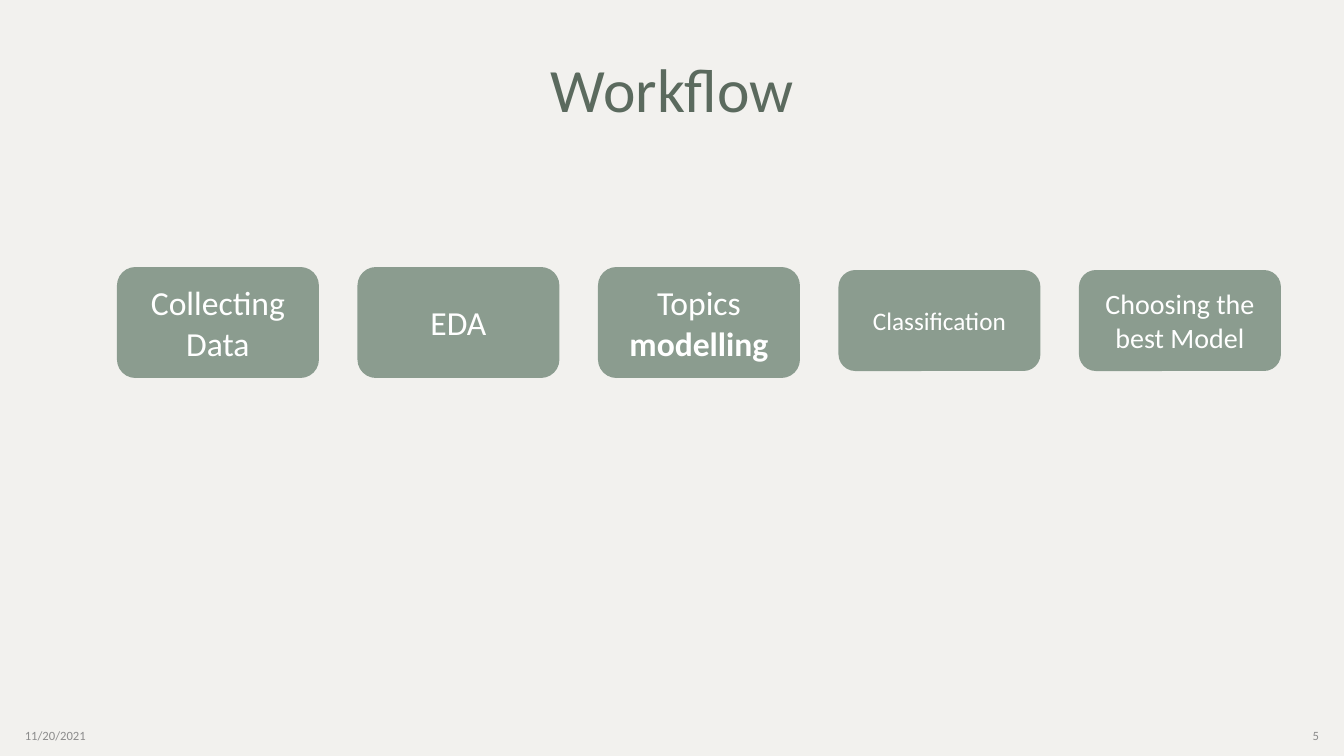
from pptx import Presentation
from pptx.dml.color import RGBColor
from pptx.enum.shapes import MSO_SHAPE
from pptx.enum.text import MSO_ANCHOR, PP_ALIGN
from pptx.util import Pt

PAPER = RGBColor(0xF2, 0xF1, 0xEE)
PINE = RGBColor(0x5B, 0x6A, 0x5E)
SAGE = RGBColor(0x8B, 0x9C, 0x8F)
GRAY = RGBColor(0x8C, 0x8C, 0x8C)
WHITE = RGBColor(0xFF, 0xFF, 0xFF)

LABELS = [
    ("Workflow", (94, 13, 1157, 149), 44, PINE, PP_ALIGN.CENTER),
    ("11/20/2021", (15, 715, 302, 40), 9, GRAY, PP_ALIGN.LEFT),
    ("5", (1027, 715, 302, 40), 9, GRAY, PP_ALIGN.RIGHT),
]
STEPS = [
    ([[("Collecting", False)], [("Data", False)]], 24, 267, 111),
    ([[("EDA", False)]], 24, 267, 111),
    ([[("Topics ", False), ("modelling", True)]], 24, 267, 111),
    ([[("Classification", False)]], 18, 270, 101),
    ([[("Choosing the best Model", False)]], 20, 270, 101),
]
LEFT, WIDTH, LAST = 117, 202, 1079
SCALE = 914400 / 100.8


def px(n):
    return round(n * SCALE)


def write(shape, lines, size, color, align):
    frame = shape.text_frame
    frame.word_wrap = True
    frame.vertical_anchor = MSO_ANCHOR.MIDDLE
    for i, runs in enumerate(lines):
        para = frame.add_paragraph() if i else frame.paragraphs[0]
        para.alignment = align
        para.font.name = "Calibri"
        para.font.size = Pt(size)
        para.font.color.rgb = color
        for text, bold in runs:
            run = para.add_run()
            run.text = text
            if bold:
                run.font.bold = True


def main():
    deck = Presentation()
    deck.slide_width, deck.slide_height = px(1344), px(756)
    slide = deck.slides.add_slide(deck.slide_layouts[6])
    slide.background.fill.solid()
    slide.background.fill.fore_color.rgb = PAPER

    for text, area, size, color, align in LABELS:
        box = slide.shapes.add_textbox(*map(px, area))
        write(box, [[(text, False)]], size, color, align)

    pitch = (LAST - LEFT) / (len(STEPS) - 1)
    for i, (lines, size, top, height) in enumerate(STEPS):
        area = (LEFT + i * pitch, top, WIDTH, height)
        step = slide.shapes.add_shape(
            MSO_SHAPE.ROUNDED_RECTANGLE, *map(px, area))
        step.shadow.inherit = False
        step.fill.solid()
        step.fill.fore_color.rgb = SAGE
        step.line.fill.background()
        write(step, lines, size, WHITE, PP_ALIGN.CENTER)

    deck.save("out.pptx")


if __name__ == "__main__":
    main()
